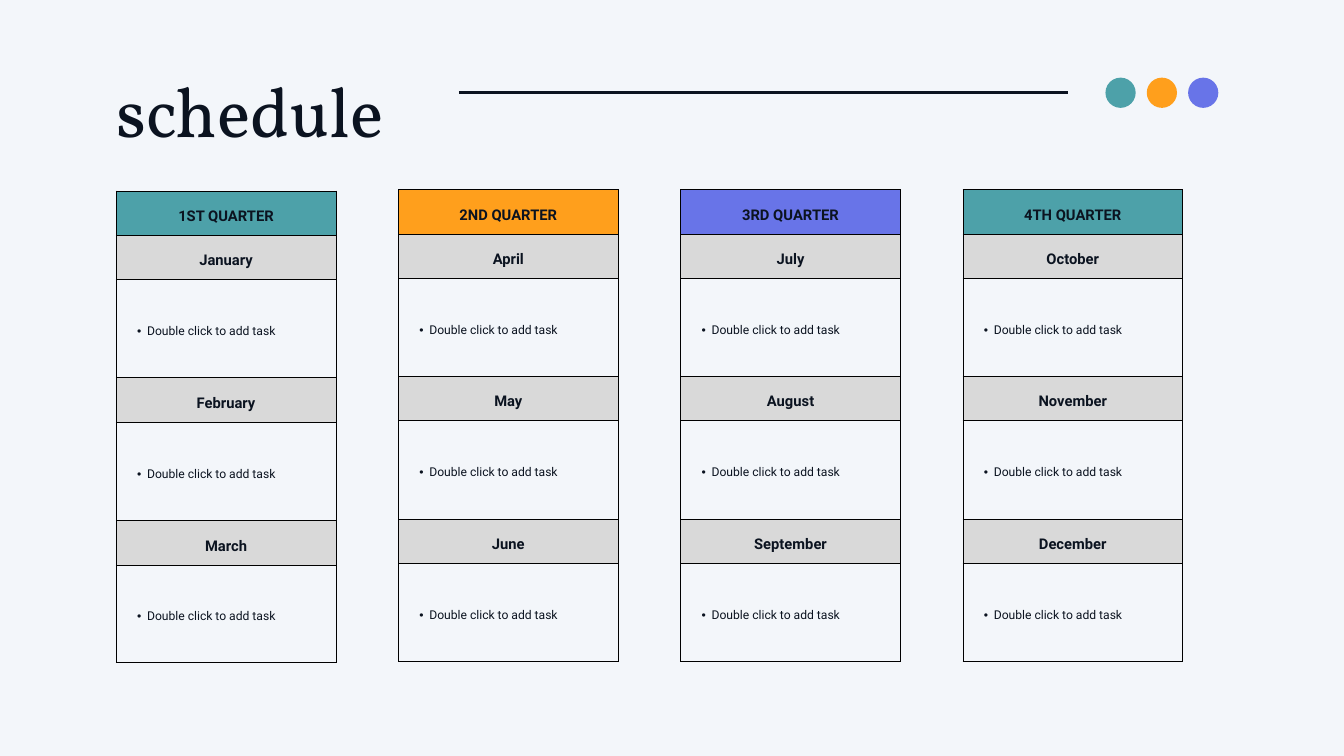
from dataclasses import dataclass

from lxml import etree
from pptx import Presentation
from pptx.dml.color import RGBColor
from pptx.enum import shapes, text
from pptx.oxml import ns
from pptx.util import Inches, Pt


@dataclass(frozen=True)
class Theme:
    paper: str = "F3F6FA"
    ink: str = "0B1320"
    border: str = "000000"
    month: str = "D9D9D9"
    teal: str = "4DA1A9"
    orange: str = "FF9F1C"
    violet: str = "6874E8"
    title_font: str = "Vollkorn"
    body_font: str = "Roboto"
    title_size: float = 75
    heading_size: float = 15.8
    task_size: float = 13


THEME = Theme()
TITLE = "schedule"
TASK = "Double click to add task"
QUARTERS = [
    ("1ST QUARTER", THEME.teal, 2.84, ("January", "February", "March")),
    ("2ND QUARTER", THEME.orange, 2.82, ("April", "May", "June")),
    ("3RD QUARTER", THEME.violet, 2.82, ("July", "August", "September")),
    ("4TH QUARTER", THEME.teal, 2.82, ("October", "November", "December")),
]
DOTS = [THEME.teal, THEME.orange, THEME.violet]

LEFT, QUARTER_PITCH, QUARTER_WIDTH = 1.73, 4.2, 3.27
ROW_HEIGHTS = [0.6, 0.6, 1.46, 0.6, 1.47, 0.6, 1.45]
CELL_INSET = 0.15
RULE_Y = 1.38
DOT_LEFT, DOT_PITCH, DOT_SIZE = 16.45, 0.615, 0.45


def rgb(value):
    return RGBColor.from_string(value)


def add_element(parent, tag, **attributes):
    return etree.SubElement(parent, ns.qn(tag), attributes)


def write(paragraph, words, font, size, spacing, bold=False):
    paragraph.line_spacing = spacing
    run = paragraph.add_run()
    run.text = words
    run.font.name = font
    run.font.size = Pt(size)
    run.font.bold = bold
    run.font.color.rgb = rgb(THEME.ink)


def add_bullet(paragraph):
    paragraph.level = 1
    properties = paragraph._p.get_or_add_pPr()
    properties.set("marL", str(Inches(0.31)))
    properties.set("indent", str(Inches(-0.15)))
    colour = add_element(properties, "a:buClr")
    add_element(colour, "a:srgbClr", val=THEME.ink)
    add_element(properties, "a:buFont", typeface="Arial")
    add_element(properties, "a:buChar", char="•")


def add_borders(cell):
    properties = cell._tc.get_or_add_tcPr()
    for side in ("a:lnL", "a:lnR", "a:lnT", "a:lnB"):
        line = add_element(properties, side, w=str(Pt(0.75)))
        fill = add_element(line, "a:solidFill")
        add_element(fill, "a:srgbClr", val=THEME.border)


def fill_cell(cell, words, colour):
    cell.vertical_anchor = text.MSO_ANCHOR.MIDDLE
    cell.margin_left = cell.margin_right = Inches(CELL_INSET)
    cell.margin_top = cell.margin_bottom = Inches(CELL_INSET)
    add_borders(cell)
    paragraph = cell.text_frame.paragraphs[0]
    if colour:
        cell.fill.solid()
        cell.fill.fore_color.rgb = rgb(colour)
        paragraph.alignment = text.PP_ALIGN.CENTER
        write(paragraph, words, THEME.body_font, THEME.heading_size, 1.4, True)
    else:
        cell.fill.background()
        add_bullet(paragraph)
        write(paragraph, words, THEME.body_font, THEME.task_size, 1.4)


def add_quarter(slide, position, name, colour, top, months):
    rows = [(name, colour)]
    for month in months:
        rows += [(month, THEME.month), (TASK, None)]
    quarter = slide.shapes.add_table(
        len(rows), 1, Inches(LEFT + position * QUARTER_PITCH), Inches(top),
        Inches(QUARTER_WIDTH), Inches(sum(ROW_HEIGHTS))).table
    quarter.first_row = quarter.horz_banding = False
    for index, (words, fill) in enumerate(rows):
        quarter.rows[index].height = Inches(ROW_HEIGHTS[index])
        fill_cell(quarter.cell(index, 0), words, fill)


def add_title(slide):
    title = slide.shapes.add_textbox(
        Inches(LEFT), Inches(0.76), Inches(16.54), Inches(1.25)).text_frame
    title.word_wrap = True
    title.auto_size = text.MSO_AUTO_SIZE.SHAPE_TO_FIT_TEXT
    title.margin_left = title.margin_right = 0
    title.margin_top = title.margin_bottom = 0
    write(title.paragraphs[0], TITLE, THEME.title_font, THEME.title_size, 1.2)


def add_rule(slide):
    rule = slide.shapes.add_connector(
        shapes.MSO_CONNECTOR.STRAIGHT,
        Inches(6.83), Inches(RULE_Y), Inches(15.9), Inches(RULE_Y))
    rule.line.color.rgb = rgb(THEME.ink)
    rule.line.width = Pt(3)
    add_element(rule._element.spPr, "a:effectLst")


def add_dot(slide, position, colour):
    dot = slide.shapes.add_shape(
        shapes.MSO_SHAPE.OVAL, Inches(DOT_LEFT + position * DOT_PITCH),
        Inches(RULE_Y - DOT_SIZE / 2), Inches(DOT_SIZE), Inches(DOT_SIZE))
    dot.shadow.inherit = False
    dot.fill.solid()
    dot.fill.fore_color.rgb = rgb(colour)
    dot.line.fill.background()


def main():
    deck = Presentation()
    deck.slide_width, deck.slide_height = Inches(20), Inches(11.25)
    slide = deck.slides.add_slide(deck.slide_layouts[6])
    slide.background.fill.solid()
    slide.background.fill.fore_color.rgb = rgb(THEME.paper)
    for position, quarter in enumerate(QUARTERS):
        add_quarter(slide, position, *quarter)
    add_title(slide)
    add_rule(slide)
    for position, colour in enumerate(DOTS):
        add_dot(slide, position, colour)
    deck.save("out.pptx")


if __name__ == "__main__":
    main()
